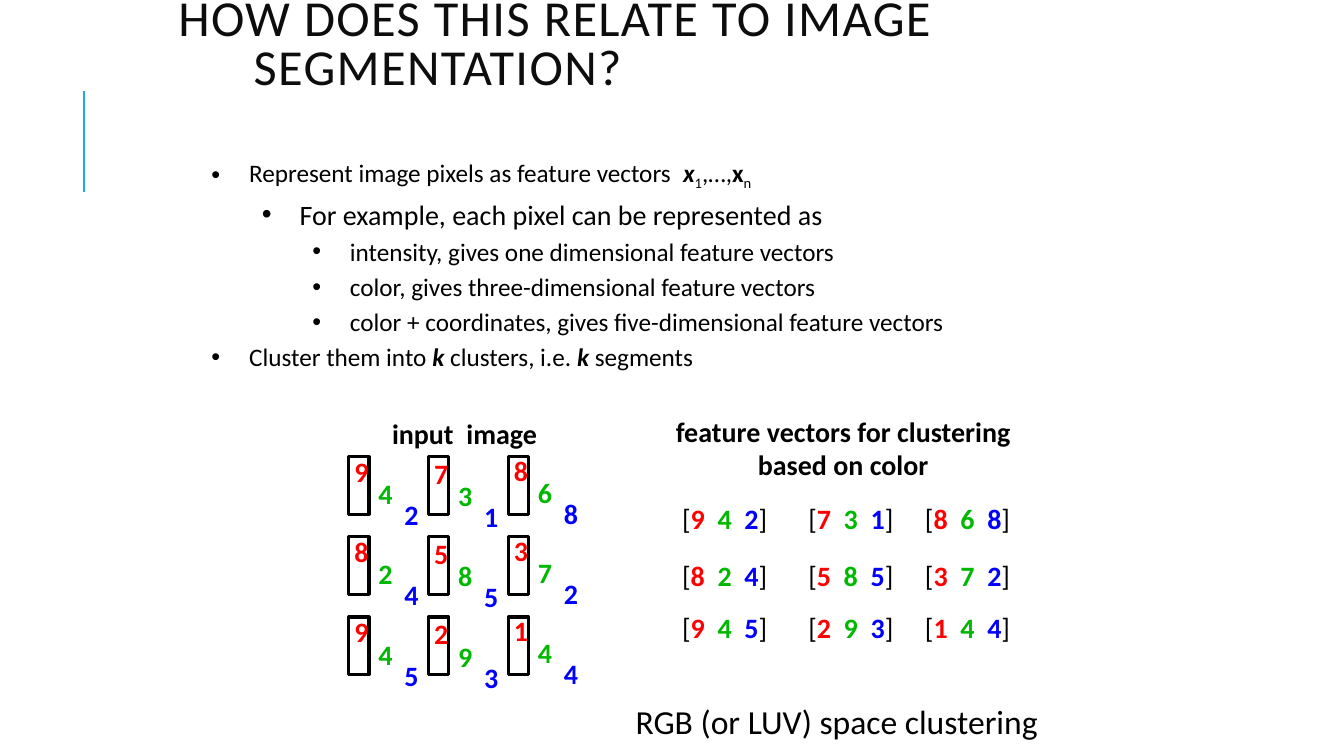
"""Build a slide that shows how pixel feature vectors lead to image segmentation."""
import pptx
import pptx.dml.color
import pptx.enum.dml
import pptx.enum.shapes
import pptx.enum.text
import pptx.oxml
import pptx.oxml.ns
import pptx.util

Cm, Pt = pptx.util.Cm, pptx.util.Pt
qn = pptx.oxml.ns.qn
AutoSize = pptx.enum.text.MSO_AUTO_SIZE
Align = pptx.enum.text.PP_ALIGN

THEME = {
    "font": "Calibri",
    "colors": {name: pptx.dml.color.RGBColor.from_string(code) for name, code in {
        "ink": "000000", "title": "0D0D0D", "accent": "1CADE4",
        "red": "FF0000", "green": "00B800", "blue": "0000FF"}.items()},
    "sizes": {"title": Pt(36), "note": Pt(24), "label": Pt(20), "bullet": Pt(18)},
}
BOLD = {"bold": True}
BOLD_ITALIC = {"bold": True, "italic": True}
SUBSCRIPT = {"baseline": "-25000"}
WIDE = {"spc": "450"}


def write_runs(paragraph, runs, size="label"):
    """Add (text, format) pairs to a paragraph."""
    for text, style in runs:
        run = paragraph.add_run()
        run.text = text
        run.font.name = THEME["font"]
        run.font.size = THEME["sizes"][size]
        run.font.color.rgb = THEME["colors"][style.get("color", "ink")]
        for key in ("bold", "italic"):
            setattr(run.font, key, style.get(key, False))
        for key in ("baseline", "spc"):
            if key in style:
                run.font._element.set(key, style[key])


def add_label(place, runs, size="label", wrap=True, align=Align.LEFT):
    """Place one line of text at (left, top, width, height) in centimetres."""
    frame = slide.shapes.add_textbox(*map(Cm, place)).text_frame
    for key, value in {"word_wrap": wrap, "auto_size": AutoSize.SHAPE_TO_FIT_TEXT}.items():
        setattr(frame, key, value)
    frame.paragraphs[0].alignment = align
    write_runs(frame.paragraphs[0], runs, size)


deck = pptx.Presentation()
deck.slide_width, deck.slide_height = Cm(33.87), Cm(19.05)
slide = deck.slides.add_slide(deck.slide_layouts[5])

accent_line = slide.shapes.add_connector(
    pptx.enum.shapes.MSO_CONNECTOR.STRAIGHT, Cm(2.12), Cm(4.83), Cm(2.12), Cm(2.29))
accent_line.line.color.rgb = THEME["colors"]["accent"]
accent_line.line.width = Pt(1.5)
accent_line._element.spPr.append(pptx.oxml.parse_xml(
    '<a:effectLst xmlns:a="http://schemas.openxmlformats.org/drawingml/2006/main"/>'))

heading = slide.shapes.title
for key, value in {"left": 4.24, "top": 0, "width": 25.4, "height": 2.34}.items():
    setattr(heading, key, Cm(value))
for key, value in {"word_wrap": True, "auto_size": AutoSize.NONE,
                   "vertical_anchor": pptx.enum.text.MSO_ANCHOR.MIDDLE}.items():
    setattr(heading.text_frame, key, value)
heading_line = heading.text_frame.paragraphs[0]
heading_line.alignment = Align.LEFT
heading_line.line_spacing = 0.8
heading_line._p.get_or_add_pPr().set("marL", str(Cm(1.9)))
heading_line._p.get_or_add_pPr().set("indent", str(Cm(-1.9)))
write_runs(heading_line, [("HOW DOES THIS RELATE TO IMAGE SEGMENTATION?",
                           {"color": "title", "spc": "100"})], "title")

points = [
    (0, "bullet", [("Represent image pixels as feature vectors", {}), (" ", WIDE),
                   ("x", BOLD_ITALIC), ("1", SUBSCRIPT), (",…,", {}), ("x", BOLD),
                   ("n", SUBSCRIPT)]),
    (1, "label", [("For example, each pixel can be represented as", {})]),
    (2, "bullet", [("intensity, gives one dimensional feature vectors", {})]),
    (2, "bullet", [("color, gives three-dimensional feature vectors", {})]),
    (2, "bullet", [("color + coordinates, gives five-dimensional feature vectors", {})]),
    (0, "bullet", [("Cluster them into ", {}), ("k", BOLD_ITALIC), (" clusters, i.e. ", {}),
                   ("k", BOLD_ITALIC), (" segments", {})]),
]
outline = slide.shapes.add_textbox(Cm(5.08), Cm(3.84), Cm(24.13), Cm(6.35)).text_frame
outline.word_wrap = True
for index, (level, size, runs) in enumerate(points):
    point = outline.add_paragraph() if index else outline.paragraphs[0]
    point.level = level
    point.space_before = Pt(THEME["sizes"][size].pt * 0.2)
    point_format = point._p.get_or_add_pPr()
    point_format.set("marL", str(Cm(0.95 + 1.27 * level)))
    point_format.set("indent", str(Cm(-0.95)))
    bullet_color = point_format.makeelement(qn("a:buClr"), {})
    bullet_color.append(bullet_color.makeelement(
        qn("a:srgbClr"), {"val": str(THEME["colors"]["ink"])}))
    point_format.append(bullet_color)
    point_format.append(point_format.makeelement(qn("a:buFont"), {"typeface": "Arial"}))
    point_format.append(point_format.makeelement(qn("a:buChar"), {"char": "•"}))
    write_runs(point, runs, size)

pixels = [["942", "731", "868"], ["824", "585", "372"], ["945", "293", "144"]]
channels = [("red", " ", -0.27, -0.18, 1.09), ("green", " ", 0.34, 0.38, 1.09),
            ("blue", "", 1.15, 0.91, 0.89)]
column_shifts = [0, 0.05, -0.03]
vector_lefts = [16.94, 20.12, 23.06]
vector_tops = [12.52, 13.94, 15.27]

add_label((9.63, 10.36, 4.27, 1.12),
          [("input", BOLD), (" ", {**BOLD, **WIDE}), ("image", BOLD)], wrap=False)
add_label((16.15, 10.31, 10.2, 1.96),
          [("feature vectors for clustering based on color", BOLD)], align=Align.CENTER)

for row, pixel_row in enumerate(pixels):
    for column, pixel in enumerate(pixel_row):
        left, top = 8.79 + 2.01 * column, 11.51 + 2.02 * row
        cell = slide.shapes.add_shape(pptx.enum.shapes.MSO_SHAPE.RECTANGLE,
                                      Cm(left), Cm(top), Cm(0.51), Cm(1.45))
        cell.shadow.inherit = False
        cell.fill.background()
        cell.line.color.rgb = THEME["colors"]["ink"]
        cell.line.width = Pt(2.25)

        vector = [("[", {})]
        for digit, (color, lead, across, down, width) in zip(pixel, channels):
            style = {"bold": True, "color": color}
            add_label((left + across, top + down + column_shifts[column], width, 1.12),
                      [(lead + digit, style)], wrap=False)
            vector += [(digit, style), (" ", {**BOLD, **WIDE})]
        vector[-1] = ("]", {})
        add_label((vector_lefts[column], vector_tops[row], 3.38, 1.12), vector)

add_label((15.77, 17.53, 10.64, 1.27), [("RGB (or LUV) space clustering", {})],
          "note", wrap=False)

deck.save("out.pptx")
